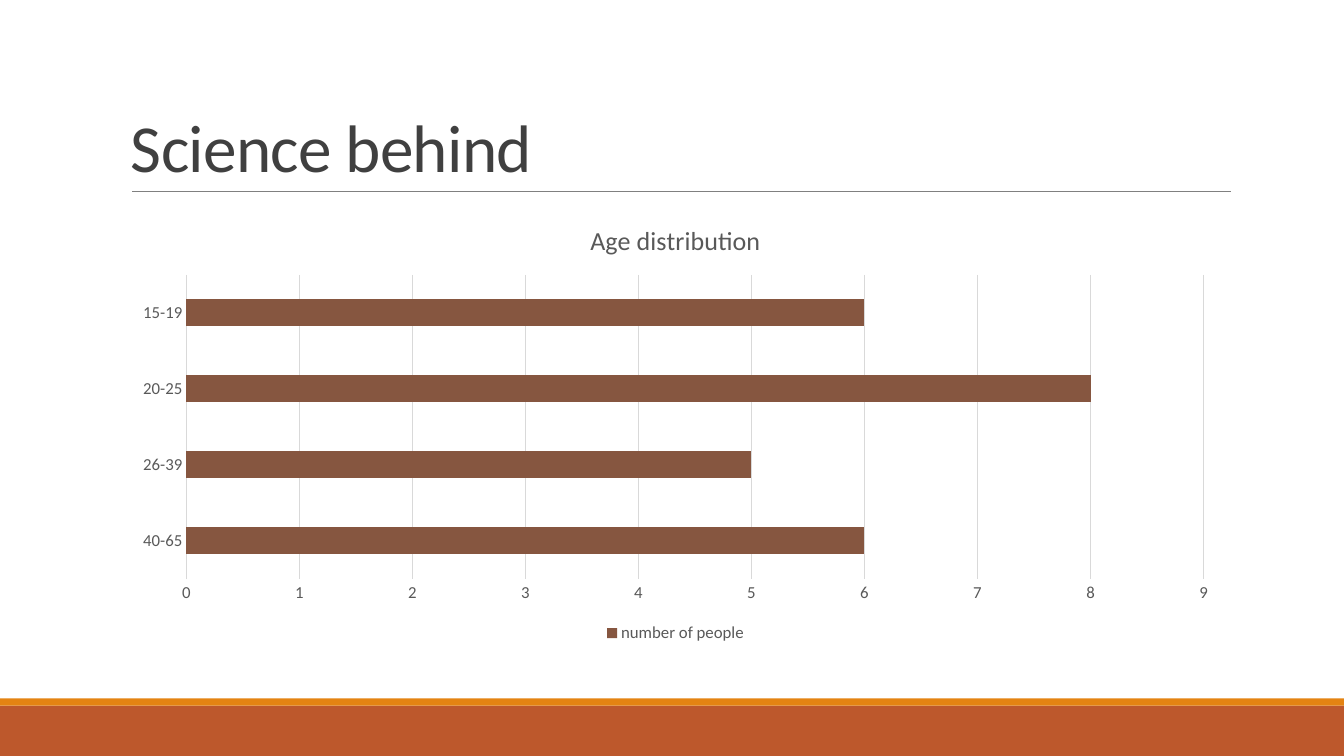
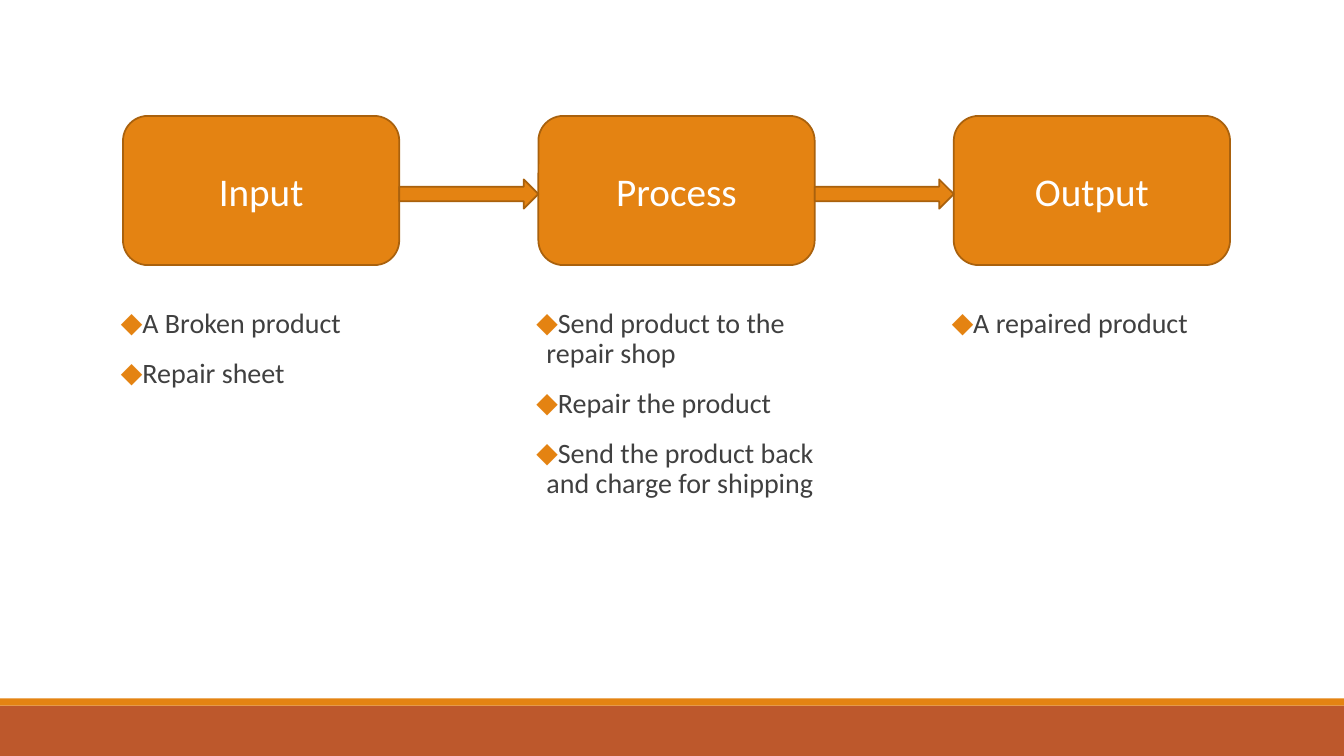
from lxml import etree
from pptx import Presentation
from pptx.chart.data import CategoryChartData
from pptx.dml.color import RGBColor
from pptx.enum.chart import XL_CHART_TYPE, XL_LEGEND_POSITION, XL_TICK_MARK
from pptx.enum.shapes import MSO_CONNECTOR, MSO_SHAPE
from pptx.enum.text import MSO_ANCHOR, PP_ALIGN
from pptx.oxml.ns import qn
from pptx.util import Inches, Pt

RECTANGLE = MSO_SHAPE.RECTANGLE
ROUNDED = MSO_SHAPE.ROUNDED_RECTANGLE
RIGHT_ARROW = MSO_SHAPE.RIGHT_ARROW
STRAIGHT = MSO_CONNECTOR.STRAIGHT
MIDDLE, BOTTOM = MSO_ANCHOR.MIDDLE, MSO_ANCHOR.BOTTOM
CENTER = PP_ALIGN.CENTER
BAR_CLUSTERED = XL_CHART_TYPE.BAR_CLUSTERED
LEGEND_BOTTOM = XL_LEGEND_POSITION.BOTTOM
NO_TICK = XL_TICK_MARK.NONE

FONT = "Calibri"
ORANGE, RUST, BROWN, DARK_ORANGE = "E48312", "BD582C", "865640", "A9610D"
INK, CHART_INK, RULE_GREY, GRID_GREY, WHITE = "404040", "595959", "808080", "D9D9D9", "FFFFFF"
SLIDE_WIDTH, SLIDE_HEIGHT = 13.33, 7.5

TITLE_FRAME = {"word_wrap": True, "vertical_anchor": BOTTOM}
BOX_FRAME = {"word_wrap": True, "vertical_anchor": MIDDLE}
COLUMN_FRAME = {"word_wrap": True, "margin_left": 0, "margin_right": 0}
BULLET_SPACING = {"line_spacing": 0.9, "space_before": Pt(12), "space_after": Pt(2)}
AXIS_FORMAT = {"major_tick_mark": NO_TICK, "minor_tick_mark": NO_TICK}
VALUE_SCALE = {"minimum_scale": 0, "maximum_scale": 9, "major_unit": 1,
               "has_major_gridlines": True}
LEGEND_FORMAT = {"position": LEGEND_BOTTOM, "include_in_layout": False}

AGE_GROUPS = {"40-65": 6, "26-39": 5, "20-25": 8, "15-19": 6}
STAGES = [
    ("Input", ["A Broken product", "Repair sheet"]),
    ("Process", ["Send product to the repair shop", "Repair the product",
                 "Send the product back and charge for shipping"]),
    ("Output", ["A repaired product"]),
]


def assign(target, values):
    """Set each named attribute of the target."""
    for name, value in values.items():
        setattr(target, name, value)


def paint(part, color):
    """Give a fill a solid colour, or colour a line or font."""
    if hasattr(part, "solid"):
        part.solid()
        part = part.fore_color
    else:
        part = part.color
    part.rgb = RGBColor.from_string(color)


def style_font(font, size, color):
    """Set the typeface, size and colour of a font."""
    assign(font, {"name": FONT, "size": Pt(size), "bold": False})
    paint(font, color)


def style_line(line, color, width):
    """Set the colour and width of a line."""
    paint(line, color)
    line.width = Pt(width)


def add_block(slide, preset, box, color, outline=None):
    """Draw a filled preset shape in a box of inches."""
    block = slide.shapes.add_shape(preset, *map(Inches, box))
    block.shadow.inherit = False
    paint(block.fill, color)
    if outline:
        style_line(block.line, outline, 1.25)
    else:
        block.line.fill.background()
    return block


def add_bands(slide):
    """Draw the two footer bands."""
    add_block(slide, RECTANGLE, (0, 7, SLIDE_WIDTH, 0.5), RUST)
    add_block(slide, RECTANGLE, (0, 6.93, SLIDE_WIDTH, 0.07), ORANGE)


def add_title(slide, text, box):
    """Place a title at the foot of its box with a rule below."""
    left, top, width, height = box
    bottom = top + height
    ends = (left + 0.11, bottom, left + width + 0.01, bottom)
    rule = slide.shapes.add_connector(STRAIGHT, *map(Inches, ends))
    style_line(rule.line, RULE_GREY, 0.5)
    etree.SubElement(rule._element.spPr, qn("a:effectLst"))
    frame = slide.shapes.add_textbox(*map(Inches, box)).text_frame
    assign(frame, TITLE_FRAME)
    paragraph = frame.paragraphs[0]
    paragraph.line_spacing = 0.85
    run = paragraph.add_run()
    run.text = text
    style_font(run.font, 48, INK)
    run.font._element.set("spc", "-50")


def add_age_chart(slide, box):
    """Plot the number of people in each age group."""
    data = CategoryChartData()
    data.categories = list(AGE_GROUPS)
    data.add_series("number of people", list(AGE_GROUPS.values()))
    chart = slide.shapes.add_chart(BAR_CLUSTERED, *map(Inches, box), data).chart
    style_font(chart.font, 12, CHART_INK)
    assign(chart, {"has_title": True, "has_legend": True})
    heading = chart.chart_title.text_frame
    heading.text = "Age distribution"
    style_font(heading.paragraphs[0].runs[0].font, 18.6, CHART_INK)
    assign(chart.legend, LEGEND_FORMAT)
    style_font(chart.legend.font, 12, CHART_INK)
    for axis in (chart.category_axis, chart.value_axis):
        assign(axis, AXIS_FORMAT)
        style_font(axis.tick_labels.font, 12, CHART_INK)
    style_line(chart.category_axis.format.line, GRID_GREY, 0.75)
    assign(chart.value_axis, VALUE_SCALE)
    chart.value_axis.format.line.fill.background()
    style_line(chart.value_axis.major_gridlines.format.line, GRID_GREY, 0.75)
    plot = chart.plots[0]
    assign(plot, {"gap_width": 182, "vary_by_categories": False})
    paint(plot.series[0].format.fill, BROWN)


def add_bullet(paragraph, text):
    """Write one paragraph with an orange diamond bullet."""
    assign(paragraph, BULLET_SPACING)
    properties = paragraph._p.get_or_add_pPr()
    properties.set("marL", str(Inches(0.1)))
    properties.set("indent", str(-Inches(0.1)))
    color = etree.SubElement(properties, qn("a:buClr"))
    etree.SubElement(color, qn("a:srgbClr"), val=ORANGE)
    etree.SubElement(properties, qn("a:buFont"), typeface=FONT)
    etree.SubElement(properties, qn("a:buChar"), char="◆")
    run = paragraph.add_run()
    run.text = text
    style_font(run.font, 20, INK)


def add_stage(slide, name, steps, box):
    """Draw a named stage with its bullet list underneath."""
    left, top, width, height = box
    stage = add_block(slide, ROUNDED, box, ORANGE, DARK_ORANGE)
    assign(stage.text_frame, BOX_FRAME)
    label = stage.text_frame.paragraphs[0]
    label.alignment = CENTER
    run = label.add_run()
    run.text = name
    style_font(run.font, 28, WHITE)
    column = (left - 0.02, top + height + 0.39, width + 0.02, 3.4)
    frame = slide.shapes.add_textbox(*map(Inches, column)).text_frame
    assign(frame, COLUMN_FRAME)
    for index, step in enumerate(steps):
        add_bullet(frame.add_paragraph() if index else frame.paragraphs[0], step)


def add_flow(slide, box):
    """Spread the stages evenly over a box and put arrows between them."""
    left, top, width, height = box
    stage_width = 2.74
    pitch = (width - stage_width) / (len(STAGES) - 1)
    for index, (name, steps) in enumerate(STAGES):
        x = left + index * pitch
        add_stage(slide, name, steps, (x, top, stage_width, height))
        if index:
            gap = pitch - stage_width
            arrow = (x - gap, top + 0.63, gap, 0.29)
            add_block(slide, RIGHT_ARROW, arrow, ORANGE, DARK_ORANGE)


def add_slide(deck):
    """Append a blank slide with the footer bands."""
    slide = deck.slides.add_slide(deck.slide_layouts[6])
    add_bands(slide)
    return slide


def main():
    """Build and save the deck."""
    deck = Presentation()
    assign(deck, {"slide_width": Inches(SLIDE_WIDTH), "slide_height": Inches(SLIDE_HEIGHT)})
    science = add_slide(deck)
    add_title(science, "Science behind", (1.2, 0.31, 11, 1.59))
    add_age_chart(science, (1.2, 2.02, 11, 4.4))
    add_flow(add_slide(deck), (1.22, 1.15, 10.98, 1.48))
    deck.save("out.pptx")


if __name__ == "__main__":
    main()
